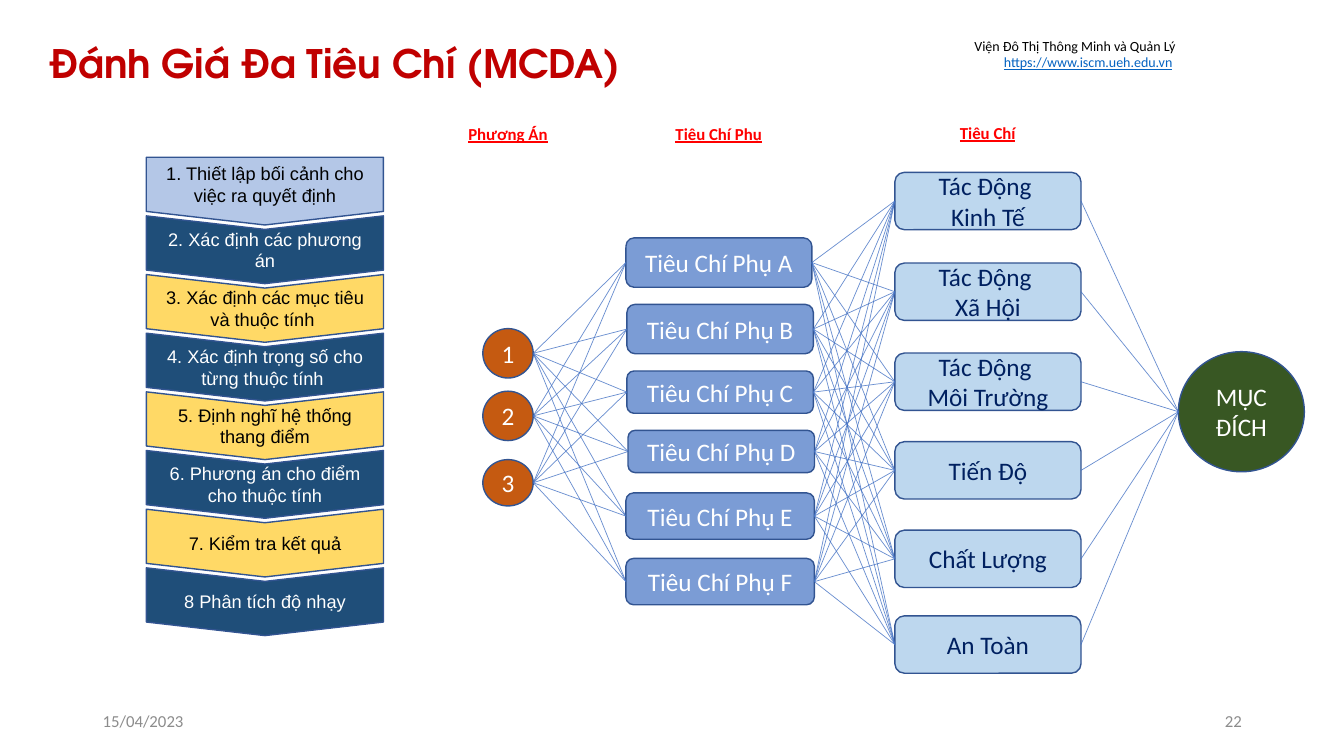
from lxml import etree
from pptx import Presentation
from pptx.dml.color import RGBColor
from pptx.enum.shapes import MSO_CONNECTOR, MSO_SHAPE
from pptx.enum.text import MSO_ANCHOR, PP_ALIGN
from pptx.oxml.ns import qn
from pptx.util import Pt

STRAIGHT = MSO_CONNECTOR.STRAIGHT
ROUNDED = MSO_SHAPE.ROUNDED_RECTANGLE
OVAL = MSO_SHAPE.OVAL
CHEVRON = MSO_SHAPE.CHEVRON
OFFPAGE = MSO_SHAPE.FLOWCHART_OFFPAGE_CONNECTOR
TOP, MIDDLE, BOTTOM = MSO_ANCHOR.TOP, MSO_ANCHOR.MIDDLE, MSO_ANCHOR.BOTTOM
LEFT, CENTER, RIGHT = PP_ALIGN.LEFT, PP_ALIGN.CENTER, PP_ALIGN.RIGHT
LEFT_SIDE, RIGHT_SIDE = 1, 3

COLORS = {
    "title": "C00000", "heading": "FF0000", "link": "0563C1", "footer": "8C8C8C",
    "black": "000000", "white": "FFFFFF", "navy": "002060", "outline": "325491",
    "blue": "4472C4", "orange": "C55A11", "pale": "BDD7EE", "green": "385723",
    "first": "B4C7E7", "dark": "1F4E79", "yellow": "FFD966",
}


def rgb(name):
    return RGBColor.from_string(COLORS[name])


def set_opacity(element, percent):
    color = element.find(".//" + qn("a:srgbClr"))
    etree.SubElement(color, qn("a:alpha")).set("val", str(percent * 1000))


def write_text(shape, runs, size=18, color="black", font="Calibri", bold=False,
               align=CENTER, anchor=MIDDLE, spacing=None):
    """Write a string, or a list of (text, color, underline) runs."""
    if isinstance(runs, str):
        runs = [(runs, color, False)]
    frame = shape.text_frame
    frame.word_wrap = True
    frame.vertical_anchor = anchor
    paragraph = frame.paragraphs[0]
    paragraph.alignment = align
    if spacing:
        paragraph.line_spacing = spacing
    for text, run_color, underline in runs:
        for number, line in enumerate(text.split("\n")):
            if number:
                paragraph.add_line_break()
            if not line:
                continue
            run = paragraph.add_run()
            run.text = line
            run.font.name = font
            run.font.size = Pt(size)
            run.font.bold = bold
            run.font.underline = underline
            run.font.color.rgb = rgb(run_color)


class SlideBuilder:
    outline_width = 1
    link_width = 0.5
    link_opacity = 80

    def __init__(self, slide):
        self.slide = slide

    def text_box(self, box, runs, **text_format):
        shape = self.slide.shapes.add_textbox(*map(Pt, box))
        write_text(shape, runs, **text_format)
        return shape

    def shape(self, kind, box, runs, fill=None, opacity=None, **text_format):
        shape = self.slide.shapes.add_shape(kind, *map(Pt, box))
        shape.shadow.inherit = False
        if fill:
            shape.fill.solid()
            shape.fill.fore_color.rgb = rgb(fill)
            if opacity:
                set_opacity(shape._element.spPr.find(qn("a:solidFill")), opacity)
            shape.line.color.rgb = rgb("outline")
            shape.line.width = Pt(self.outline_width)
        else:
            shape.fill.background()
            shape.line.fill.background()
        write_text(shape, runs, **text_format)
        return shape

    def down_chevron(self, center, middle, width, height, text, **text_format):
        box = (center - height / 2, middle - width / 2, height, width)
        shape = self.shape(CHEVRON, box, text, **text_format)
        shape.adjustments[0] = 0.2
        shape.rotation = 90
        shape.text_frame._txBody.bodyPr.set("vert", "vert270")

    def link(self, start, end):
        connector = self.slide.shapes.add_connector(
            STRAIGHT, start.left + start.width, start.top + start.height // 2,
            end.left, end.top + end.height // 2)
        if start.auto_shape_type == ROUNDED:
            connector.begin_connect(start, RIGHT_SIDE)
        if end.auto_shape_type == ROUNDED:
            connector.end_connect(end, LEFT_SIDE)
        connector.line.color.rgb = rgb("blue")
        connector.line.width = Pt(self.link_width)
        properties = connector._element.spPr
        set_opacity(properties.find(qn("a:ln")), self.link_opacity)
        etree.SubElement(properties, qn("a:effectLst"))

    def link_all(self, starts, ends):
        for start in starts:
            for end in ends:
                self.link(start, end)


def main():
    presentation = Presentation()
    presentation.slide_width, presentation.slide_height = Pt(960), Pt(540)
    slide = presentation.slides.add_slide(presentation.slide_layouts[6])
    builder = SlideBuilder(slide)

    # Title, institute and footer
    title = builder.text_box((28.1, 23, 904.3, 46.1), "Đánh Giá Đa Tiêu Chí (MCDA)",
                             size=28, color="title", font="TeX Gyre Adventor",
                             bold=True, align=LEFT, anchor=BOTTOM, spacing=0.9)
    title.text_frame.margin_top = title.text_frame.margin_bottom = Pt(7.2)
    builder.text_box((679.7, 23, 167, 31.7), [
        ("Viện Đô Thị Thông Minh và Quản Lý\n", "black", False),
        ("https://www.iscm.ueh.edu.vn", "link", True),
        (" ", "black", False),
    ], size=10, align=RIGHT, anchor=TOP)
    for left, text, align in ((66.2, "15/04/2023", LEFT), (678.2, "22", RIGHT)):
        builder.text_box((left, 500.4, 216, 28.8), text, size=12,
                         color="footer", align=align)

    # Column headings
    for left, top, heading in ((323.3, 82.8, "Phương Án"), (473.8, 82.8, "Tiêu Chí Phụ"),
                               (666, 82.1, "Tiêu Chí")):
        builder.shape(ROUNDED, (left, top, 79.2, 25.2), [(heading, "heading", True)],
                      size=12, bold=True)

    # Network nodes
    alternatives = [
        builder.shape(OVAL, (344.9, top, 36, height), str(number),
                      fill="orange", color="white")
        for number, (top, height) in enumerate(
            ((234.7, 35.3), (279.4, 35.3), (328.3, 33.1)), start=1)]
    subcriteria_boxes = (
        (447.1, 169.9, 132.8, 35.3), (447.8, 217.4, 133.2, 35.3),
        (447.8, 265, 133.2, 30.2), (448.6, 307.4, 133.2, 30.2),
        (447.1, 352.1, 134.6, 33.1), (447.1, 398.9, 134.6, 33.1))
    subcriteria = [
        builder.shape(ROUNDED, box, f"Tiêu Chí Phụ {letter}",
                      fill="blue", opacity=70, color="white")
        for letter, box in zip("ABCDEF", subcriteria_boxes)]
    criteria = [
        builder.shape(ROUNDED, (639.2, top, 133, 41), text, fill="pale", color="navy")
        for top, text in (
            (123.1, "Tác Động \nKinh Tế"), (187.9, "Tác Động \nXã Hội"),
            (252.2, "Tác Động \nMôi Trường"), (315.5, "Tiến Độ"),
            (378.7, "Chất Lượng"), (439.9, "An Toàn"))]
    goal = builder.shape(OVAL, (841.7, 251.2, 90, 85.8), "MỤC ĐÍCH",
                         fill="green", color="white")

    # Network links
    builder.link_all(alternatives, subcriteria)
    builder.link_all(subcriteria, criteria)
    builder.link_all(criteria, [goal])

    # Process steps
    center, width, height = 189.2, 169.4, 48.4
    first_middle, pitch = 136.5, 41.9
    builder.shape(OFFPAGE, (center - width / 2, first_middle - height / 2, width, height),
                  "1. Thiết lập bối cảnh cho việc ra quyết định",
                  fill="first", size=13, font="Arial")
    steps = (
        "2. Xác định các phương án",
        "3. Xác định các mục tiêu và thuộc tính ",
        "4. Xác định trọng số cho từng thuộc tính ",
        "5. Định nghĩ hệ thống thang điểm",
        "6. Phương án cho điểm cho thuộc tính",
        "7. Kiểm tra kết quả",
        "8 Phân tích độ nhạy")
    for row, step in enumerate(steps, start=1):
        fill, color = ("dark", "white") if row % 2 else ("yellow", "black")
        builder.down_chevron(center, first_middle + row * pitch, width, height, step,
                             fill=fill, color=color, size=13, font="Arial")

    presentation.save("out.pptx")


if __name__ == "__main__":
    main()
